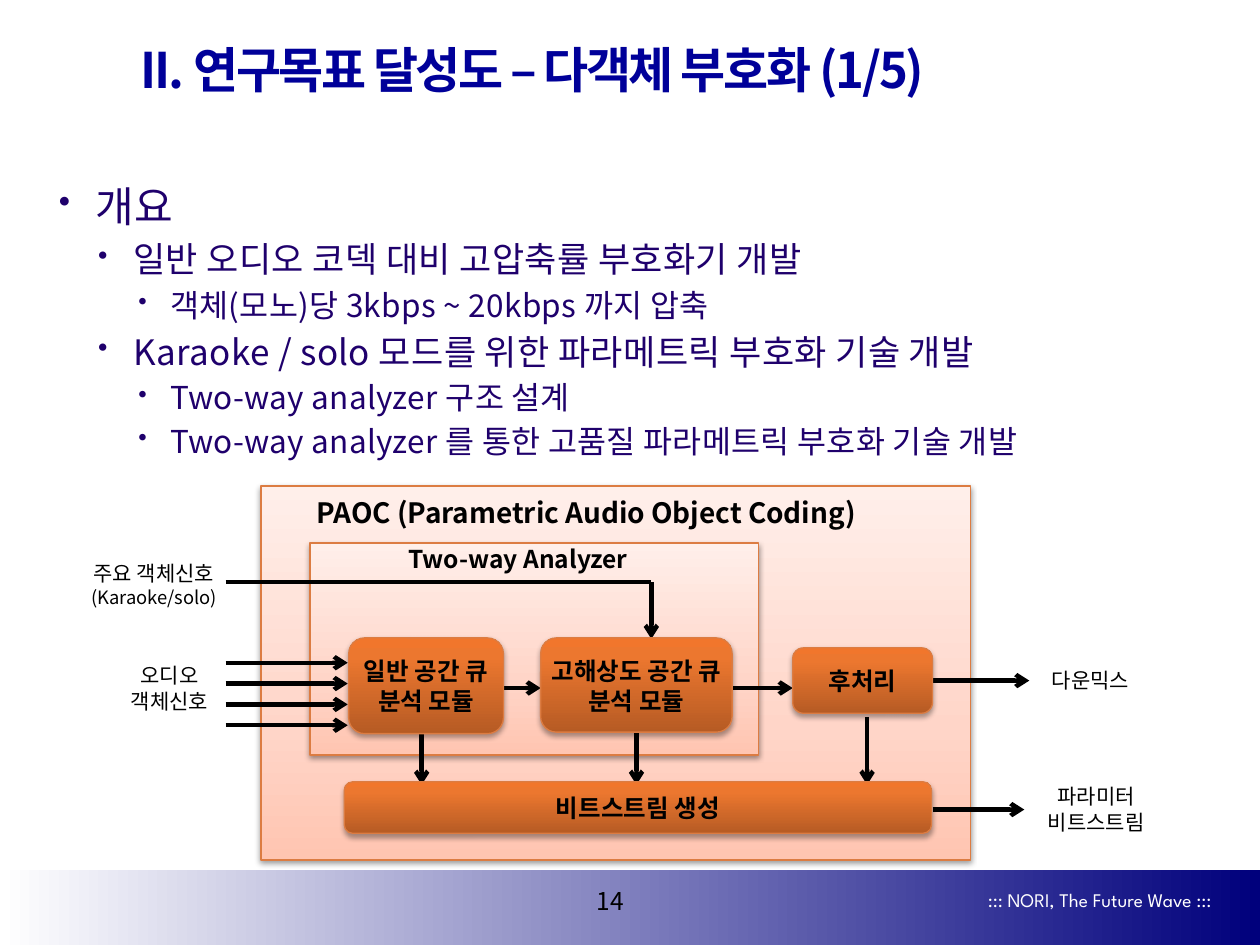
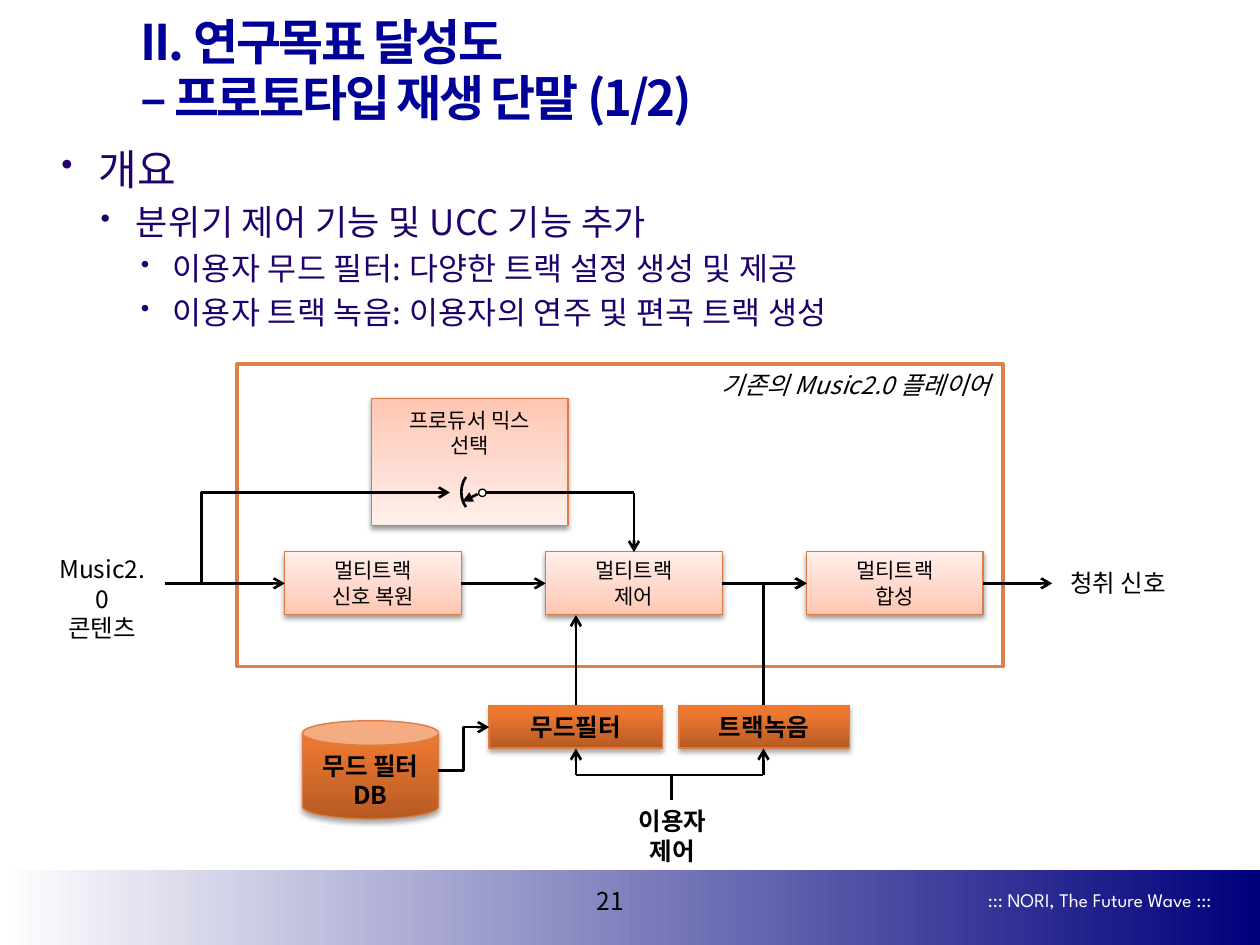
from dataclasses import dataclass
from itertools import pairwise

from lxml.etree import SubElement as Sub
from pptx import Presentation
from pptx.dml.color import RGBColor as Rgb
from pptx.enum.shapes import MSO_CONNECTOR as Link, MSO_SHAPE as Kind
from pptx.enum.text import MSO_ANCHOR as Anchor, MSO_AUTO_SIZE as Fit, PP_ALIGN as Align
from pptx.oxml.ns import qn
from pptx.util import Cm, Pt


@dataclass(frozen=True)
class Theme:
    font: str = "Noto Sans CJK KR"
    tag_font: str = "League Spartan"
    navy: str = "000099"
    ink: str = "1F006C"
    black: str = "000000"
    white: str = "FFFFFF"
    edge: str = "DC7C42"
    frame: str = "DD8047"
    band: tuple = ((0, "FFFFFF"), (100, "00007C"))
    pale: tuple = ((0, "FFC5B1"), (35, "FFD5C8"), (100, "FFEFEA"))
    deep: tuple = ((0, "B65B24"), (80, "EC772F"), (100, "F1762C"))
    title: float = 28
    levels: tuple = (24, 20, 18)
    head: float = 16
    text: float = 14
    small: float = 12
    tag: float = 11
    tiny: float = 10.5
    lead: float = 1.22
    title_lead: float = 1.14


T = Theme()
MARGINS = (0.74, 1.5, 2.24)
HANGS = (0.74, 0.71, 0.64)


def add_run(par, text, size, color=T.black, bold=False, italic=False, font=T.font):
    run = par.add_run()
    run.text = text
    face = run.font
    face.name, face.size = font, Pt(size)
    face.bold, face.italic = bold, italic
    face.color.rgb = Rgb.from_string(color)
    props = run._r.get_or_add_rPr()
    Sub(props, qn("a:ea"), typeface=font)
    return props


def write(frame, text, size, align=Align.CENTER, lead=T.lead, **look):
    for n, part in enumerate(text.split("\n")):
        par = frame.paragraphs[0] if n == 0 else frame.add_paragraph()
        par.alignment = align
        par.line_spacing = Pt(round(size * lead, 1))
        for k, line in enumerate(part.split("\v")):
            if k:
                par.add_line_break()
            add_run(par, line, size, **look)


def set_frame(frame, anchor=Anchor.MIDDLE, side=0.0, top=0.0):
    frame.word_wrap = True
    frame.auto_size = Fit.NONE
    frame.vertical_anchor = anchor
    frame.margin_left = frame.margin_right = Cm(side)
    frame.margin_top = frame.margin_bottom = Cm(top)
    return frame


def label(slide, box, text, size=T.small, **look):
    area = slide.shapes.add_textbox(*map(Cm, box))
    write(set_frame(area.text_frame), text, size, **look)
    return area


def paint(shape, stops, angle):
    shape.fill.gradient()
    shape.fill.gradient_angle = angle
    group = shape._element.spPr.find(qn("a:gradFill")).find(qn("a:gsLst"))
    for stop in list(group):
        group.remove(stop)
    for place, color in stops:
        stop = Sub(group, qn("a:gs"), pos=str(place * 1000))
        Sub(stop, qn("a:srgbClr"), val=color)


def plain(slide, kind, box, fill=None, line=None, width=0.75):
    shape = slide.shapes.add_shape(kind, *map(Cm, box))
    shape.shadow.inherit = False
    if fill:
        shape.fill.solid()
        shape.fill.fore_color.rgb = Rgb.from_string(fill)
    else:
        shape.fill.background()
    if line:
        shape.line.color.rgb = Rgb.from_string(line)
        shape.line.width = Pt(width)
    else:
        shape.line.fill.background()
    return shape


def shade(shape, alpha, dist):
    effect = shape._element.spPr.find(qn("a:effectLst"))
    outer = Sub(effect, qn("a:outerShdw"), blurRad=str(Pt(3.1)), dist=str(Pt(dist)),
                dir="5400000", rotWithShape="0")
    color = Sub(outer, qn("a:srgbClr"), val=T.black)
    Sub(color, qn("a:alpha"), val=str(alpha * 1000))


def panel(slide, box, text="", angle=90, anchor=Anchor.MIDDLE):
    shape = plain(slide, Kind.RECTANGLE, box, line=T.edge)
    paint(shape, T.pale, angle)
    shade(shape, 38, 1.6)
    if text:
        write(set_frame(shape.text_frame, anchor, top=0.17), text, T.small)


def block(slide, box, text, kind=Kind.ROUNDED_RECTANGLE, side=0.0):
    shape = plain(slide, kind, box, line=T.edge)
    paint(shape, T.deep, 90)
    shade(shape, 35, 1.8)
    write(set_frame(shape.text_frame, side=side), text, T.text, bold=True)
    return shape


def link(slide, kind, start, end, width=1.5, tip="arrow"):
    line = slide.shapes.add_connector(kind, *map(Cm, start + end))
    line.line.color.rgb = Rgb.from_string(T.black)
    line.line.width = Pt(width)
    if tip:
        Sub(line.line._get_or_add_ln(), qn("a:tailEnd"), type=tip)
    Sub(line._element.spPr, qn("a:effectLst"))
    return line


def route(slide, *points, width=1.5, tip="arrow"):
    for start, end in pairwise(points):
        link(slide, Link.STRAIGHT, start, end, width, tip if end == points[-1] else None)


def elbow(slide, start, end, bend):
    line = link(slide, Link.ELBOW, start, end)
    shape = line._element.spPr.find(qn("a:prstGeom"))
    guides = shape.find(qn("a:avLst"))
    if guides is None:
        guides = Sub(shape, qn("a:avLst"))
    Sub(guides, qn("a:gd"), name="adj1", fmla=f"val {round(bend * 100000)}")


def outline(slide, box, items):
    area = slide.shapes.add_textbox(*map(Cm, box))
    frame = set_frame(area.text_frame, Anchor.TOP, 0.25, 0.11)
    for n, (level, text) in enumerate(items):
        par = frame.add_paragraph() if n else frame.paragraphs[0]
        size = T.levels[level]
        par.level = level
        par.line_spacing = Pt(round(size * T.lead, 1))
        if n:
            par.space_before = Pt(round(size * 0.17, 1))
        props = par._p.get_or_add_pPr()
        props.set("marL", str(Cm(MARGINS[level])))
        props.set("indent", str(-Cm(HANGS[level])))
        Sub(props, qn("a:buSzPct"), val="80000")
        Sub(props, qn("a:buChar"), char="•")
        add_run(par, text, size, T.ink).set("spc", "20")


def start(deck, title, page):
    slide = deck.slides.add_slide(deck.slide_layouts[5])
    band = plain(slide, Kind.RECTANGLE, (0, 17.53, 25.4, 1.52))
    paint(band, T.band, 0)
    label(slide, (19, 17.78, 5.43, 0.71), "::: NORI, The Future Wave :::", T.tag,
          align=Align.RIGHT, color=T.white, font=T.tag_font)
    head = slide.shapes.title
    head.left, head.top, head.width, head.height = map(Cm, (2.59, 0.64, 19.84, 1.57))
    frame = set_frame(head.text_frame, side=0.25, top=0.13)
    write(frame, title, T.title, Align.LEFT, T.title_lead, color=T.navy, bold=True)
    for run in frame.paragraphs[0].runs:
        run._r.get_or_add_rPr().set("spc", "-130")
    label(slide, (11.51, 17.73, 1.6, 0.84), page, T.text)
    return slide


def coding(deck):
    slide = start(deck, "II. 연구목표 달성도 – 다객체 부호화 (1/5)", "14")
    outline(slide, (0.94, 3.51, 23.72, 6.43), (
        (0, "개요"),
        (1, "일반 오디오 코덱 대비 고압축률 부호화기 개발"),
        (2, "객체(모노)당 3kbps ~ 20kbps 까지 압축"),
        (1, "Karaoke / solo 모드를 위한 파라메트릭 부호화 기술 개발"),
        (2, "Two-way analyzer 구조 설계"),
        (2, "Two-way analyzer 를 통한 고품질 파라메트릭 부호화 기술 개발"),
    ))
    panel(slide, (5.26, 9.8, 14.3, 7.54))
    panel(slide, (6.25, 10.95, 9.04, 4.27))

    flows = [((x, 14.45), (x, 15.82)) for x in (8.5, 12.83, 17.48)]
    inputs = [13.36 + 0.42 * n for n in range(4)]
    flows += [((4.55, y), (7.01, y)) for y in inputs]
    flows += [
        ((18.75, 13.72), (20.75, 13.72)),
        ((18.8, 16.32), (20.65, 16.32)),
        ((9.93, 13.87), (10.9, 13.87)),
        ((14.58, 13.87), (15.98, 13.87)),
        ((4.55, 11.73), (13.13, 11.73), (13.13, 12.88)),
    ]
    for flow in flows:
        route(slide, *flow, width=2.5)

    keys = label(slide, (1.3, 11.16, 3.61, 1.22), "주요 객체신호")
    par = keys.text_frame.add_paragraph()
    par.alignment = Align.CENTER
    par.line_spacing = Pt(round(T.tiny * T.lead, 1))
    add_run(par, "(Karaoke/solo)", T.tiny)
    label(slide, (2.06, 13.23, 2.72, 1.27), "오디오\v객체신호")
    label(slide, (20.69, 13.32, 2.59, 0.76), "다운믹스")
    label(slide, (20.65, 15.67, 2.9, 1.27), "파라미터 비트스트림")
    label(slide, (8.23, 10.82, 8, 0.86), "Two-way Analyzer", T.text,
          align=Align.LEFT, bold=True)
    label(slide, (6.38, 9.86, 12.3, 0.94), "PAOC (Parametric Audio Object Coding)",
          T.head, align=Align.LEFT, bold=True)

    block(slide, (10.9, 12.86, 3.86, 1.9), "고해상도 공간 큐 분석 모듈")
    block(slide, (7.03, 12.86, 3.12, 1.93), "일반 공간 큐\v분석 모듈")
    block(slide, (15.98, 13.06, 2.82, 1.32), "후처리")
    block(slide, (6.94, 15.76, 11.84, 1.04), "비트스트림 생성")


def player(deck):
    slide = start(deck, "II. 연구목표 달성도\v– 프로토타입 재생 단말 (1/2)", "21")
    outline(slide, (0.99, 2.77, 23.72, 6), (
        (0, "개요"),
        (1, "분위기 제어 기능 및 UCC 기능 추가"),
        (2, "이용자 무드 필터: 다양한 트랙 설정 생성 및 제공"),
        (2, "이용자 트랙 녹음: 이용자의 연주 및 편곡 트랙 생성"),
    ))
    frame = plain(slide, Kind.RECTANGLE, (4.78, 7.34, 15.44, 6.1), T.white, T.frame, 2)
    write(set_frame(frame.text_frame, Anchor.TOP, 0.25, 0.11),
          "기존의 Music2.0 플레이어", T.text, Align.RIGHT, italic=True)

    panel(slide, (7.49, 8.03, 3.96, 2.57), "프로듀서 믹스\n선택", 270, Anchor.TOP)
    for n, text in enumerate(("신호 복원", "제어", "합성")):
        panel(slide, (5.74 + 5.26 * n, 11.12, 3.56, 1.27), "멀티트랙\n" + text)
    store = block(slide, (6.1, 14.53, 2.74, 1.98), "무드 필터 DB", Kind.CAN, 0.25)
    store.text_frame.margin_top = Cm(0.16)
    block(slide, (9.86, 14.22, 3.5, 0.86), "무드필터", Kind.RECTANGLE)
    block(slide, (13.69, 14.22, 3.43, 0.86), "트랙녹음", Kind.RECTANGLE)

    main_y, mix_y, fork_y = 11.76, 9.93, 15.62
    for left, right in ((3.33, 5.74), (9.3, 11), (14.56, 16.26), (19.82, 21.21)):
        route(slide, (left, main_y), (right, main_y))
    elbow(slide, (3.33, main_y), (9.07, mix_y), 0.127)
    elbow(slide, (8.84, 15.54), (9.86, 14.66), 0.5)
    route(slide, (9.8, mix_y), (12.78, mix_y), (12.78, 11.13))
    route(slide, (11.61, 14.22), (11.61, 12.4))
    route(slide, (15.39, 14.22), (15.39, main_y), (16.26, main_y))
    route(slide, (13.54, 16.13), (13.54, fork_y), tip=None)
    for x in (11.61, 15.39):
        route(slide, (13.54, fork_y), (x, fork_y), (x, 15.09))

    arc = plain(slide, Kind.ARC, (9.3, 9.5, 0.61, 0.84), line=T.black, width=1.5)
    arc.adjustments[0], arc.adjustments[1] = 75, 141
    plain(slide, Kind.OVAL, (9.65, 9.86, 0.15, 0.15), T.white, T.black)
    route(slide, (9.63, 9.96), (9.32, 10.11), tip="triangle")

    label(slide, (1.11, 11.33, 1.9, 1.45), "Music2.0\n콘텐츠", T.text)
    label(slide, (21.21, 11.31, 2.67, 0.86), "청취 신호", T.text)
    label(slide, (12.55, 16.12, 2.01, 1.45), "이용자\n제어", T.text, bold=True)


def main():
    deck = Presentation()
    deck.slide_width, deck.slide_height = Cm(25.4), Cm(19.05)
    coding(deck)
    player(deck)
    deck.save("out.pptx")


if __name__ == "__main__":
    main()
